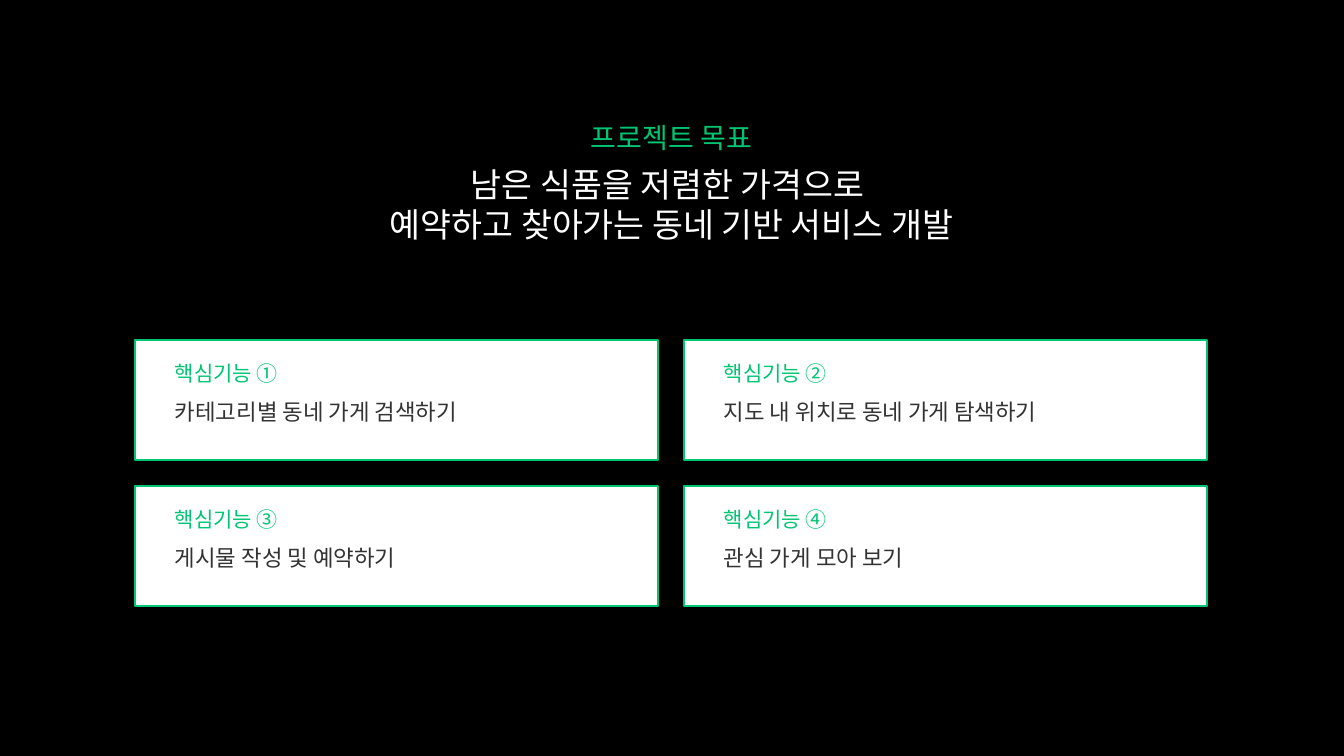
from lxml.etree import SubElement
from pptx import Presentation
from pptx.dml.color import RGBColor
from pptx.enum.shapes import MSO_SHAPE
from pptx.enum.text import MSO_ANCHOR, MSO_AUTO_SIZE, PP_ALIGN
from pptx.oxml.ns import qn
from pptx.util import Emu, Pt

BLACK = RGBColor(0x00, 0x00, 0x00)
WHITE = RGBColor(0xFF, 0xFF, 0xFF)
GREEN = RGBColor(0x00, 0xC5, 0x72)
GRAY = RGBColor(0x33, 0x33, 0x33)
FONT = "Noto Sans CJK KR"

WIDE, HIGH = 1344, 756
SCALE = 12192000 / WIDE

TITLE = "프로젝트 목표"
GOALS = ["남은 식품을 저렴한 가격으로 ", "예약하고 찾아가는 동네 기반 서비스 개발"]
CARDS = [
    ("핵심기능 ①", "카테고리별 동네 가게 검색하기"),
    ("핵심기능 ②", "지도 내 위치로 동네 가게 탐색하기"),
    ("핵심기능 ③", "게시물 작성 및 예약하기"),
    ("핵심기능 ④", "관심 가게 모아 보기"),
]


def px(num):
    return Emu(round(num * SCALE))


def place(shape, x, y, w, h):
    shape.left, shape.top, shape.width, shape.height = map(px, (x, y, w, h))


def write(shape, lines, size, color, align=PP_ALIGN.LEFT):
    frame = shape.text_frame
    frame.word_wrap = True
    frame.auto_size = MSO_AUTO_SIZE.SHAPE_TO_FIT_TEXT
    frame.vertical_anchor = MSO_ANCHOR.TOP
    for i, line in enumerate(lines):
        para = frame.add_paragraph() if i else frame.paragraphs[0]
        para.alignment = align
        para.space_before = Pt(0)
        props = para._p.get_or_add_pPr()
        props.set("marL", "0")
        props.set("indent", "0")
        SubElement(props, qn("a:buNone"))
        run = para.add_run()
        run.text = line
        run.font.size = Pt(size)
        run.font.color.rgb = color
        run.font.name = FONT
        SubElement(run._r.get_or_add_rPr(), qn("a:ea"), typeface=FONT)


def add_head(slide, x, y, w):
    """Title with the goal below it."""
    title, goal = slide.shapes.title, slide.placeholders[1]
    place(title, x, y, w, 44)
    write(title, [TITLE], 20, GREEN, PP_ALIGN.CENTER)
    place(goal, x, y + 44, w, 92)
    write(goal, GOALS, 24, WHITE, PP_ALIGN.CENTER)


def add_card(slide, x, y, w, h, label, text):
    """White card with a label and one line of text."""
    card = slide.shapes.add_shape(
        MSO_SHAPE.ROUNDED_RECTANGLE, px(x), px(y), px(w), px(h))
    card.adjustments[0] = 0
    card.shadow.inherit = False
    card.fill.solid()
    card.fill.fore_color.rgb = WHITE
    card.line.color.rgb = GREEN
    card.line.width = Pt(1)
    parts = [(53, 37, text, 16, GRAY), (16, 35, label, 15, GREEN)]
    for down, tall, words, size, color in parts:
        box = slide.shapes.add_textbox(
            px(x + 30), px(y + down), px(379), px(tall))
        write(box, [words], size, color)


def add_grid(slide, x, y, w, h, gap):
    """Cards in two columns and two rows."""
    wide, tall = (w - gap) / 2, (h - gap) / 2
    for i, (label, text) in enumerate(CARDS):
        row, col = divmod(i, 2)
        add_card(slide, x + col * (wide + gap), y + row * (tall + gap),
                 wide, tall, label, text)


def main():
    deck = Presentation()
    deck.slide_width, deck.slide_height = px(WIDE), px(HIGH)
    slide = deck.slides.add_slide(deck.slide_layouts[1])
    slide.background.fill.solid()
    slide.background.fill.fore_color.rgb = BLACK
    add_head(slide, 0, 115, 1343)
    add_grid(slide, 135, 340, 1072, 266, 26)
    deck.save("out.pptx")


if __name__ == "__main__":
    main()
